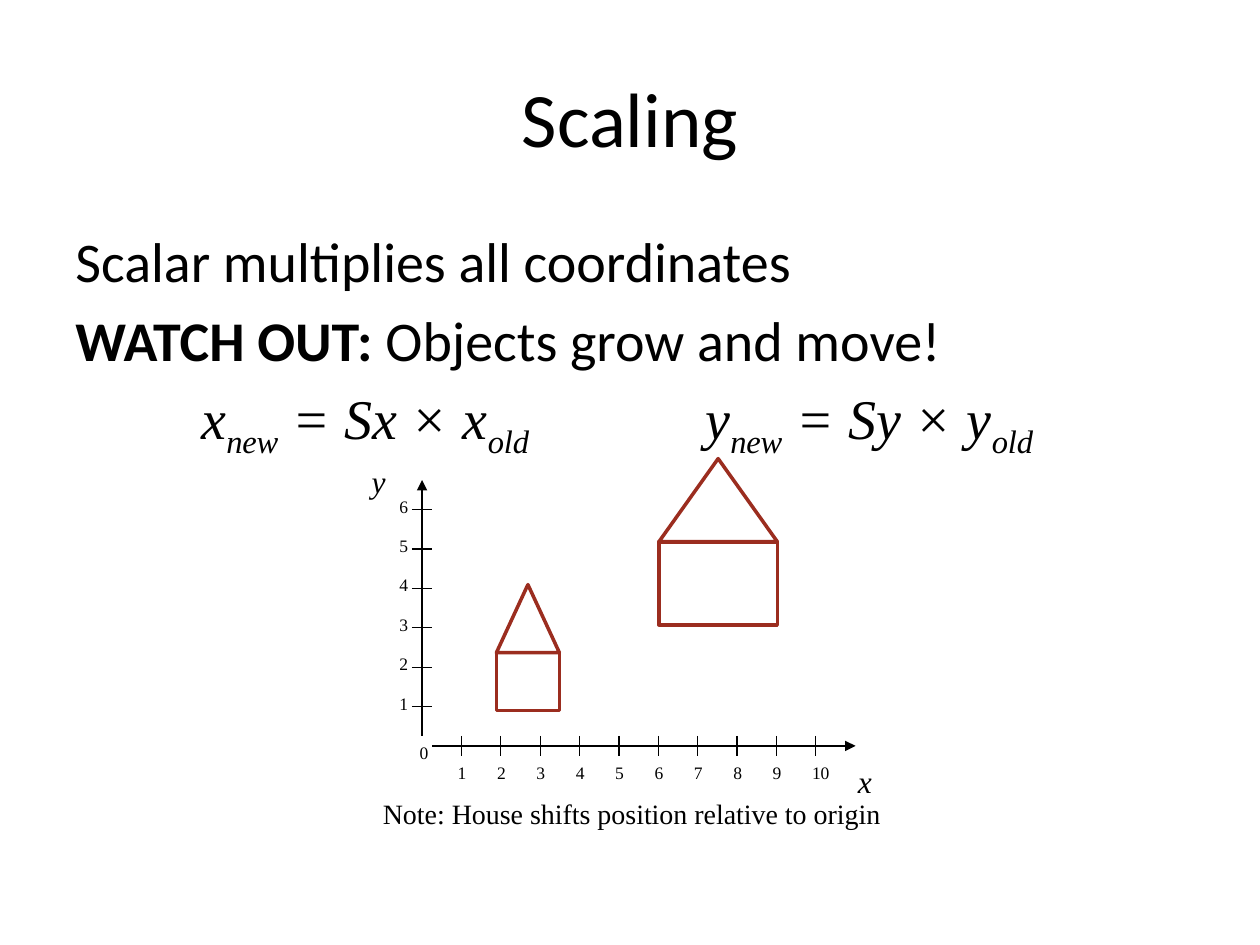
from lxml import etree
from pptx import Presentation
from pptx.dml.color import RGBColor
from pptx.enum.shapes import MSO_CONNECTOR, MSO_SHAPE
from pptx.enum.text import MSO_ANCHOR, PP_ALIGN
from pptx.oxml.ns import qn
from pptx.util import Inches, Pt

BLACK = RGBColor(0x00, 0x00, 0x00)
WHITE = RGBColor(0xFF, 0xFF, 0xFF)
BRICK = RGBColor(0x9B, 0x2D, 0x1F)
SANS = "Calibri"
SERIF = "Times New Roman"

presentation = Presentation()
presentation.slide_width = Inches(10)
presentation.slide_height = Inches(7.5)
slide = presentation.slides.add_slide(presentation.slide_layouts[6])


def add_text(left, top, width, height, text, size, name=SERIF, italic=False):
    box = slide.shapes.add_textbox(Inches(left), Inches(top), Inches(width), Inches(height))
    box.text_frame.word_wrap = True
    paragraph = box.text_frame.paragraphs[0]
    paragraph.text = text
    paragraph.font.size = Pt(size)
    paragraph.font.name = name
    paragraph.font.italic = italic
    paragraph.font.color.rgb = BLACK
    return box.text_frame


def add_line(x1, y1, x2, y2, arrow=False):
    line = slide.shapes.add_connector(
        MSO_CONNECTOR.STRAIGHT, Inches(x1), Inches(y1), Inches(x2), Inches(y2))
    line.line.color.rgb = BLACK
    line.line.width = Pt(0.75)
    if arrow:
        etree.SubElement(line.line._get_or_add_ln(), qn("a:tailEnd"), type="triangle")
    etree.SubElement(line._element.spPr, qn("a:effectLst"))


title = add_text(0.5, 0.3, 9, 1.25, "Scaling", 44, SANS)
title.vertical_anchor = MSO_ANCHOR.MIDDLE
title.paragraphs[0].alignment = PP_ALIGN.CENTER

body = add_text(0.5, 1.75, 9, 4.95, "Scalar multiplies all coordinates", 32, SANS)
warning = body.add_paragraph()
formulas = body.add_paragraph()

for text, bold in [("WATCH OUT:", True), (" Objects grow and move!", False)]:
    run = warning.add_run()
    run.text = text
    run.font.bold = bold

tab_list = etree.SubElement(formulas._p.get_or_add_pPr(), qn("a:tabLst"))
for stop in (1, 5):
    etree.SubElement(tab_list, qn("a:tab"), pos=str(Inches(stop)), algn="l")
for axis in ("x", "y"):
    for text, subscript in [(f"\t{axis}", False), ("new", True),
                            (f" = S{axis} × {axis}", False), ("old", True)]:
        run = formulas.add_run()
        run.text = text
        if subscript:
            run.font._element.set("baseline", "-25000")

for paragraph, name in [(warning, SANS), (formulas, SERIF)]:
    paragraph.space_before = Pt(6.4)
    paragraph.font.size = Pt(32)
    paragraph.font.name = name
    paragraph.font.color.rgb = BLACK
formulas.font.italic = True

ORIGIN_X, ORIGIN_Y = 3.35, 5.92
UNIT = 5 / 16
TICK = 0.08

add_text(2.94, 6.27, 4.25, 0.37, "Note: House shifts position relative to origin", 16)
add_text(2.85, 3.62, 0.31, 0.4, "y", 18, italic=True)
add_text(6.71, 6, 0.31, 0.4, "x", 18, italic=True)
add_line(ORIGIN_X, ORIGIN_Y - TICK, ORIGIN_X, 3.81, arrow=True)
add_line(ORIGIN_X + TICK, ORIGIN_Y, 6.79, ORIGIN_Y, arrow=True)

labels = [(3.2, 5.84, 0)]
for value in range(1, 11):
    x = ORIGIN_X + value * UNIT
    add_line(x, ORIGIN_Y - TICK, x, ORIGIN_Y + TICK)
    labels.append((x - 0.16, 6, value))
for value in range(1, 7):
    y = ORIGIN_Y - value * UNIT
    add_line(ORIGIN_X - TICK, y, ORIGIN_X + TICK, y)
    labels.append((3.04, y - 0.16, value))
for left, top, value in labels:
    label = add_text(left, top, 0.37, 0.27, str(value), 10)
    label.margin_left = Inches(0.13)
    label.margin_right = 0

houses = [
    (5.23, 0.94, 3.64, 4.3, 4.96),
    (3.94, 0.5, 4.64, 5.18, 5.64),
]
for left, width, peak, eaves, ground in houses:
    for kind, top, bottom in [(MSO_SHAPE.RECTANGLE, eaves, ground),
                              (MSO_SHAPE.ISOSCELES_TRIANGLE, peak, eaves)]:
        shape = slide.shapes.add_shape(
            kind, Inches(left), Inches(top), Inches(width), Inches(bottom - top))
        shape.shadow.inherit = False
        shape.fill.solid()
        shape.fill.fore_color.rgb = WHITE
        shape.line.color.rgb = BRICK
        shape.line.width = Pt(2)

presentation.save("out.pptx")
